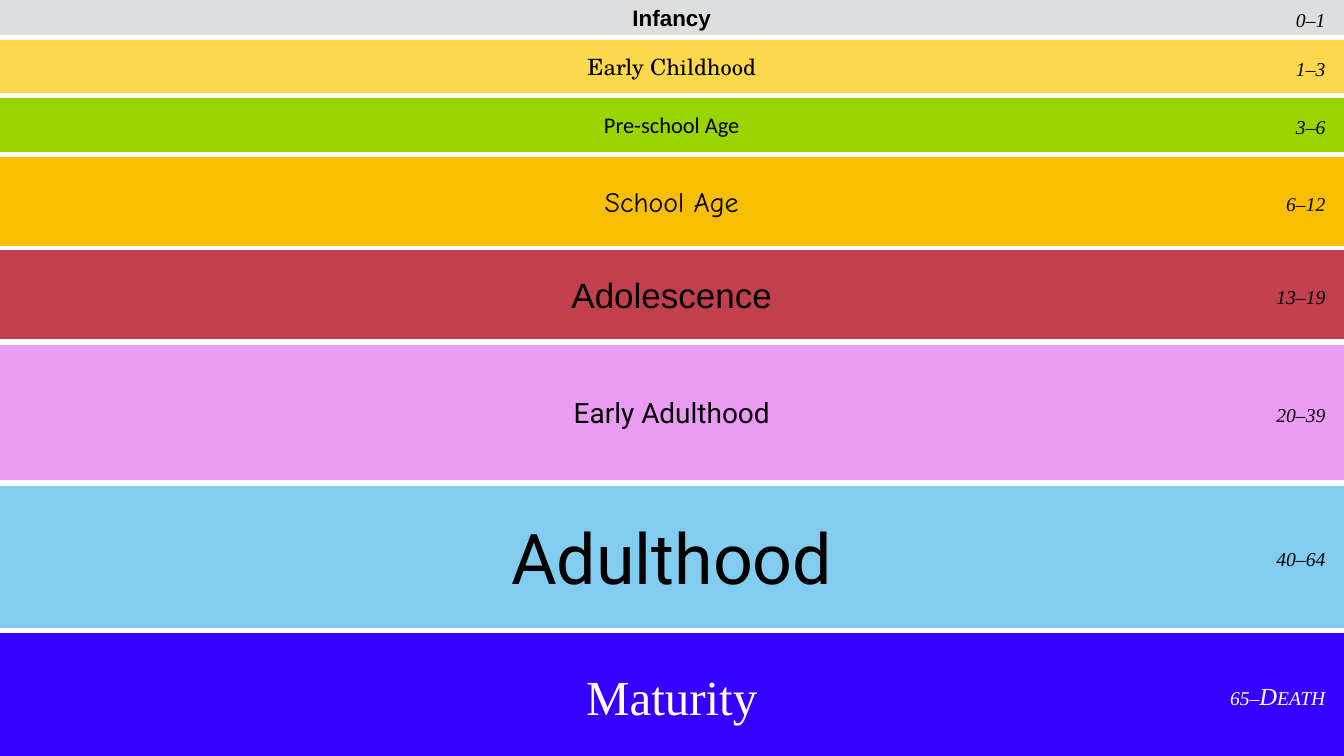
from pptx import Presentation
from pptx.dml.color import RGBColor
from pptx.enum.shapes import MSO_SHAPE
from pptx.enum.text import MSO_ANCHOR, PP_ALIGN
from pptx.util import Inches, Pt

RECT = MSO_SHAPE.RECTANGLE
MIDDLE = MSO_ANCHOR.MIDDLE
CENTER, RIGHT = PP_ALIGN.CENTER, PP_ALIGN.RIGHT

BLACK = RGBColor(0x00, 0x00, 0x00)
WHITE = RGBColor(0xFF, 0xFF, 0xFF)
GREY = RGBColor(0xDC, 0xDE, 0xE0)
YELLOW = RGBColor(0xFC, 0xD9, 0x4C)
GREEN = RGBColor(0x9A, 0xD4, 0x01)
AMBER = RGBColor(0xF7, 0xBE, 0x02)
RED = RGBColor(0xC2, 0x40, 0x4E)
PINK = RGBColor(0xE9, 0x9C, 0xF2)
SKY = RGBColor(0x82, 0xCC, 0xF0)
BLUE = RGBColor(0x34, 0x00, 0xFF)

SLIDE_W, SLIDE_H = 26.67, 15
BAND_LEFT, BAND_W = -0.14, 26.94
AGES_OFFSET, AGES_W = 20.94, 5.56
SERIF = "Times New Roman"

# top, height, fill, stage, font, size, text colour, ages, height of ages box
STAGES = [
    (-0.02, 0.75, GREY, "Infancy", "Arial", 32, BLACK, "0–1", 1.01),
    (0.76, 1.11, YELLOW, "Early Childhood", "TeX Gyre Schola", 32, BLACK, "1–3", 0.83),
    (1.92, 1.12, GREEN, "Pre-school Age", "Calibri", 32, BLACK, "3–6", 0.83),
    (3.09, 1.81, AMBER, "School Age", "Comic Neue", 40, BLACK, "6–12", 0.83),
    (4.94, 1.82, RED, "Adolescence", "Arial", 50, BLACK, "13–19", 0.83),
    (6.81, 2.75, PINK, "Early Adulthood", "Roboto", 40, BLACK, "20–39", 0.83),
    (9.62, 2.86, SKY, "Adulthood", "Roboto", 100, BLACK, "40–64", 0.83),
    (12.53, 2.55, BLUE, "Maturity", SERIF, 70, WHITE, "65–Death", 1.4),
]


def set_text(shape, text, font, size, color, align):
    """Fill the shape with one formatted line and return its run."""
    tf = shape.text_frame
    tf.word_wrap = True
    tf.vertical_anchor = MIDDLE
    tf.margin_left = tf.margin_right = Inches(0.06)
    tf.margin_top = tf.margin_bottom = Inches(0.06)
    tf.text = text
    p = tf.paragraphs[0]
    p.alignment = align
    r = p.runs[0]
    r.font.name = font
    r.font.size = Pt(size)
    r.font.color.rgb = color
    return r


def add_band(s, left, top, width, height, fill, stage, font, size, color):
    band = s.shapes.add_shape(RECT, Inches(left), Inches(top), Inches(width), Inches(height))
    band.shadow.inherit = False
    band.fill.solid()
    band.fill.fore_color.rgb = fill
    band.line.color.rgb = WHITE
    band.line.width = Pt(4)
    r = set_text(band, stage, font, size, color, CENTER)
    r.font.bold = stage == "Infancy"


def add_ages(s, left, top, height, ages, box_height, color):
    """Right-aligned small-caps ages, centred vertically on a band."""
    box_top = top + (height - box_height) / 2
    box = s.shapes.add_textbox(Inches(left + AGES_OFFSET), Inches(box_top),
                               Inches(AGES_W), Inches(box_height))
    r = set_text(box, ages, SERIF, 35, color, RIGHT)
    r.font.italic = True
    r._r.get_or_add_rPr().set("cap", "small")


def build_life_stages(s, left, width):
    for top, height, fill, stage, font, size, color, _, _ in STAGES:
        add_band(s, left, top, width, height, fill, stage, font, size, color)
    for top, height, _, _, _, _, color, ages, box_height in STAGES:
        add_ages(s, left, top, height, ages, box_height, color)


def main():
    prs = Presentation()
    prs.slide_width, prs.slide_height = Inches(SLIDE_W), Inches(SLIDE_H)
    s = prs.slides.add_slide(prs.slide_layouts[6])
    s.background.fill.solid()
    s.background.fill.fore_color.rgb = BLACK
    build_life_stages(s, BAND_LEFT, BAND_W)
    prs.save("out.pptx")


if __name__ == "__main__":
    main()
